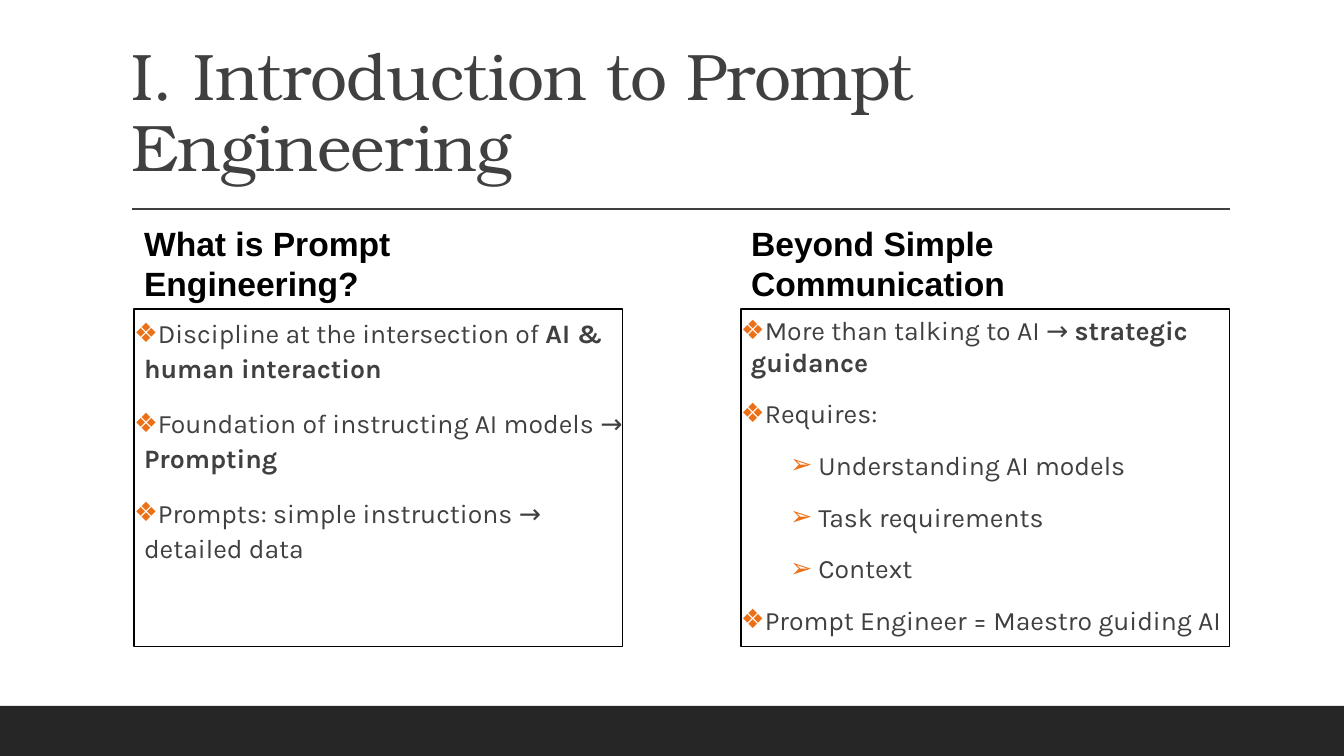
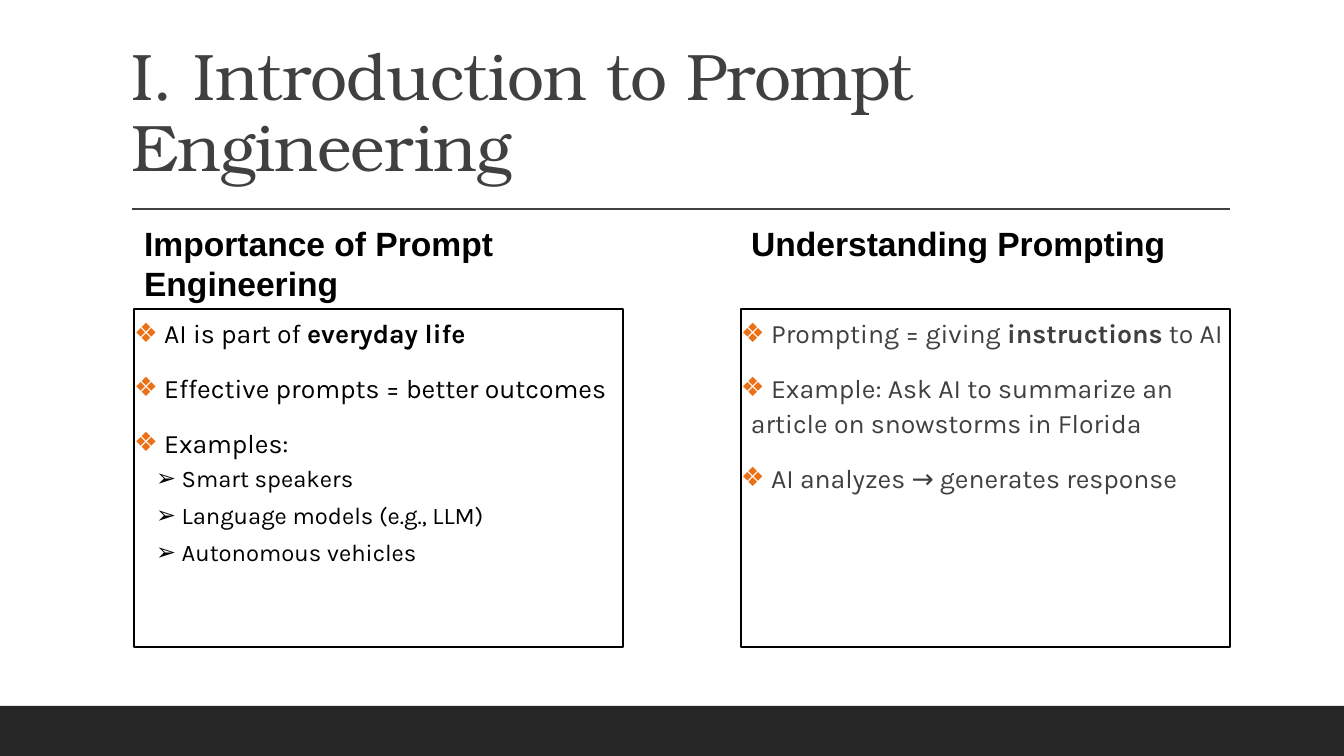
from dataclasses import dataclass, replace

from lxml.etree import SubElement
from pptx import Presentation
from pptx.dml.color import RGBColor
from pptx.enum.shapes import MSO_CONNECTOR, MSO_SHAPE
from pptx.enum.text import MSO_ANCHOR, MSO_AUTO_SIZE, PP_ALIGN
from pptx.oxml.ns import qn
from pptx.util import Emu, Pt

SLIDE_W, SLIDE_H = 1344, 756
EMU_PER_PX = 12192000 / SLIDE_W


@dataclass(frozen=True)
class Theme:
    ink: str = "404040"
    black: str = "000000"
    white: str = "FFFFFF"
    band: str = "262626"
    accent: str = "EC7016"
    title_font: str = "TeX Gyre Bonum"
    heading_font: str = "Arial"
    body_font: str = "Karla"
    title_size: int = 47
    heading_size: int = 24
    body_size: int = 19
    small_size: int = 17


THEME = Theme()


@dataclass(frozen=True)
class Bullet:
    char: str = "❖"
    color: str | None = THEME.accent
    left: int = 10
    hang: int = 10
    level: int = 0
    spacing: float = 1.1
    before: int = 12
    after: int = 2
    size: int = THEME.body_size


POINT = Bullet()
TIGHT = replace(POINT, spacing=1.0)
DEEP = replace(TIGHT, char="➢", left=59, level=1)
SMALL = Bullet("➢", None, 42, 20, 1, 1.0, 2, 4, THEME.small_size)


@dataclass(frozen=True)
class Panel:
    heading: str
    points: list
    ink: str = THEME.ink
    fill: str | None = None
    border: float = 0.75


PANELS_Y, PANEL_W, PANEL_H = 218, 489, 429
PANELS_X = (134, 741)
HEADING_H = 91
TITLE = "I. Introduction to Prompt Engineering"

SLIDES = [
    (
        Panel("What is Prompt Engineering?", [
            (POINT, "Discipline at the intersection of **AI & human interaction**"),
            (POINT, "Foundation of instructing AI models → **Prompting**"),
            (POINT, "Prompts: simple instructions → detailed data"),
        ]),
        Panel("Beyond Simple Communication", [
            (TIGHT, "More than talking to AI → **strategic guidance**"),
            (TIGHT, "Requires:"),
            (DEEP, " Understanding AI models"),
            (DEEP, " Task requirements"),
            (DEEP, " Context"),
            (TIGHT, "Prompt Engineer = Maestro guiding AI"),
        ]),
    ),
    (
        Panel("Importance of Prompt Engineering", [
            (POINT, " AI is part of **everyday life**"),
            (POINT, " Effective prompts = better outcomes"),
            (POINT, " Examples:"),
            (SMALL, " Smart speakers"),
            (SMALL, " Language models (e.g., LLM)"),
            (SMALL, " Autonomous vehicles"),
        ], THEME.black, THEME.white, 1.25),
        Panel("Understanding Prompting", [
            (POINT, " Prompting = giving **instructions** to AI"),
            (POINT, " Example: Ask AI to summarize an article on snowstorms in Florida"),
            (POINT, " AI analyzes → generates response"),
        ], THEME.ink, THEME.white, 1.25),
    ),
]


def px(n):
    return Emu(round(n * EMU_PER_PX))


def rgb(value):
    return RGBColor.from_string(value)


def set_attrs(obj, values):
    for name, value in values.items():
        setattr(obj, name, value)


def place(sp, x, y, w, h):
    set_attrs(sp, {"left": px(x), "top": px(y), "width": px(w), "height": px(h)})


def set_frame(tf, **extra):
    set_attrs(tf, {"word_wrap": True, "auto_size": MSO_AUTO_SIZE.NONE,
                   "vertical_anchor": MSO_ANCHOR.TOP, **extra})


def add_run(p, text, font, size, color, bold=False):
    r = p.add_run()
    r.text = text
    set_attrs(r.font, {"name": font, "size": Pt(size), "bold": bold})
    r.font.color.rgb = rgb(color)
    return r


def add_rich_text(p, text, size, color):
    """Add runs, making the parts between double asterisks bold."""
    for i, part in enumerate(text.split("**")):
        if part:
            add_run(p, part, THEME.body_font, size, color, bold=i % 2 == 1)


def set_bullet(p, bullet):
    set_attrs(p, {"level": bullet.level, "line_spacing": bullet.spacing,
                  "space_before": Pt(bullet.before), "space_after": Pt(bullet.after),
                  "alignment": PP_ALIGN.LEFT})
    pPr = p._p.get_or_add_pPr()
    pPr.set("marL", str(px(bullet.left)))
    pPr.set("indent", str(-px(bullet.hang)))
    if bullet.color:
        clr = SubElement(pPr, qn("a:buClr"))
        SubElement(clr, qn("a:srgbClr")).set("val", bullet.color)
    SubElement(pPr, qn("a:buChar")).set("char", bullet.char)


def add_band_and_rule(slide):
    """Draw the footer band and title rule, then move them to the layout."""
    band = slide.shapes.add_shape(MSO_SHAPE.RECTANGLE, 0, px(706), px(SLIDE_W), px(50))
    band.shadow.inherit = False
    band.fill.solid()
    band.fill.fore_color.rgb = rgb(THEME.band)
    band.line.fill.background()
    rule = slide.shapes.add_connector(
        MSO_CONNECTOR.STRAIGHT, px(132), px(209), px(1230), px(209))
    rule.line.color.rgb = rgb(THEME.ink)
    rule.line.width = Pt(1)
    SubElement(rule._element.spPr, qn("a:effectLst"))
    for sp in (band, rule):
        slide.slide_layout.shapes.element.append(sp._element)


def fill_title(sp, text, x, y, w, h):
    place(sp, x, y, w, h)
    tf = sp.text_frame
    set_frame(tf, vertical_anchor=MSO_ANCHOR.BOTTOM)
    p = tf.paragraphs[0]
    set_attrs(p, {"alignment": PP_ALIGN.LEFT, "line_spacing": 0.9})
    r = add_run(p, text, THEME.title_font, THEME.title_size, THEME.ink)
    r._r.get_or_add_rPr().set("spc", "-50")


def fill_panel(heading, body, panel, x, y, w, h):
    place(heading, x, y, w, HEADING_H)
    set_frame(heading.text_frame)
    p = heading.text_frame.paragraphs[0]
    set_attrs(p, {"alignment": PP_ALIGN.LEFT, "space_before": Pt(0)})
    add_run(p, panel.heading, THEME.heading_font, THEME.heading_size, THEME.black, bold=True)

    place(body, x, y + HEADING_H, w, h - HEADING_H)
    body.line.color.rgb = rgb(THEME.black)
    body.line.width = Pt(panel.border)
    if panel.fill:
        body.fill.solid()
        body.fill.fore_color.rgb = rgb(panel.fill)
    tf = body.text_frame
    set_frame(tf, margin_left=0, margin_right=0, margin_top=px(5), margin_bottom=px(5))
    for i, (bullet, text) in enumerate(panel.points):
        p = tf.add_paragraph() if i else tf.paragraphs[0]
        set_bullet(p, bullet)
        add_rich_text(p, text, bullet.size, panel.ink)


def add_comparison_slide(prs, layout, panels):
    slide = prs.slides.add_slide(layout)
    title, *parts = slide.placeholders
    fill_title(title, TITLE, 121, 31, 1109, 160)
    for x, panel, heading, body in zip(PANELS_X, panels, parts[::2], parts[1::2]):
        fill_panel(heading, body, panel, x, PANELS_Y, PANEL_W, PANEL_H)
    return slide


def main():
    prs = Presentation()
    set_attrs(prs, {"slide_width": px(SLIDE_W), "slide_height": px(SLIDE_H)})
    layout = prs.slide_layouts.get_by_name("Comparison")
    slides = [add_comparison_slide(prs, layout, panels) for panels in SLIDES]
    add_band_and_rule(slides[0])
    prs.save("out.pptx")


if __name__ == "__main__":
    main()
